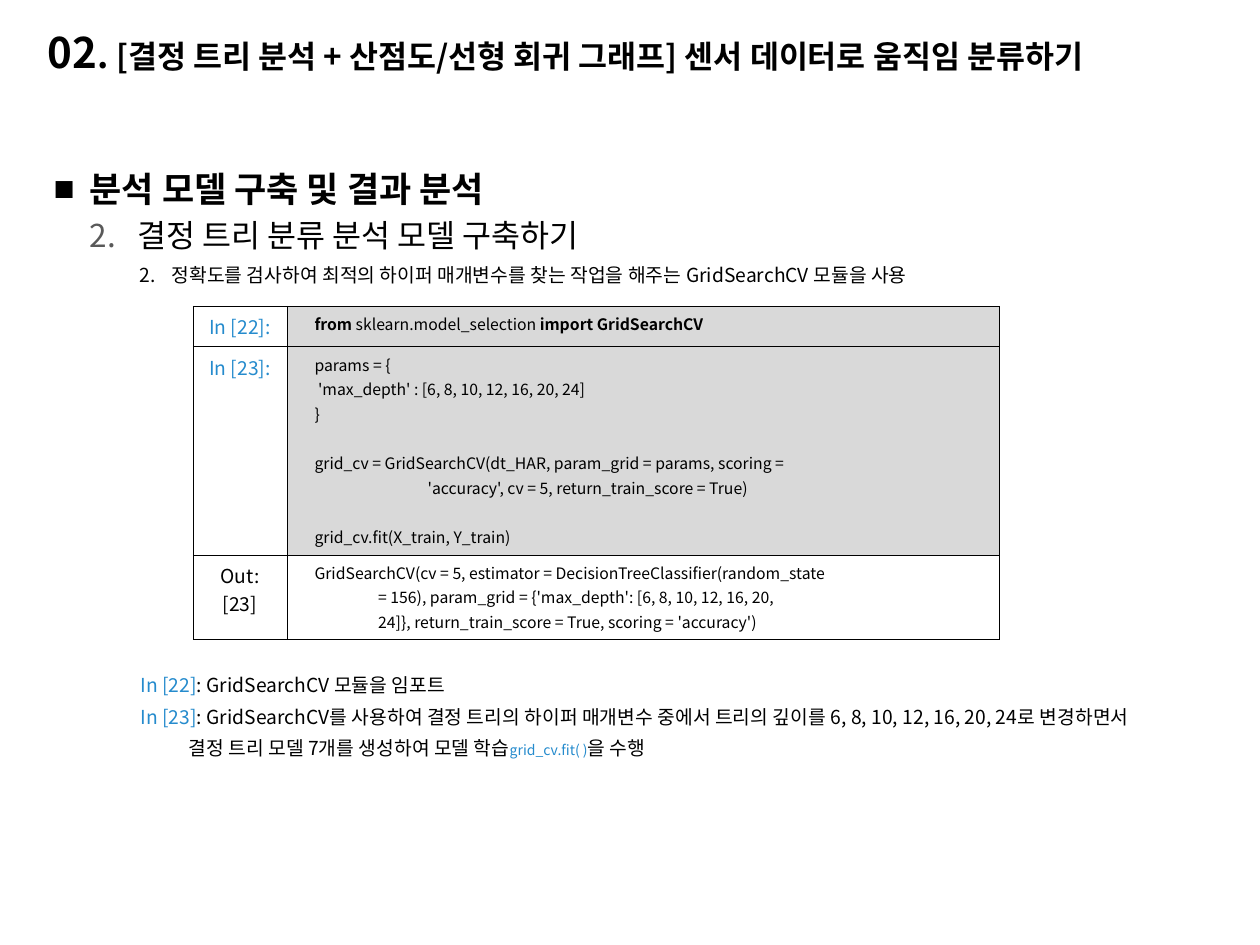
from pptx import Presentation
from pptx.dml.color import RGBColor
from pptx.enum.text import MSO_ANCHOR, MSO_AUTO_SIZE, PP_ALIGN
from pptx.oxml.ns import qn
from pptx.util import Pt
from lxml.etree import SubElement

COLORS = {"black": "000000", "blue": "258BCD", "gray": "595959",
          "code": "D9D9D9", "white": "FFFFFF"}
FONT = "Noto Sans CJK KR"

TITLE = [("02", 24, "black", True), (". ", 20, "black", True),
         ("[결정 트리 분석 + 산점도/선형 회귀 그래프] 센서 데이터로 움직임 분류하기", 18, "black", True)]

BODY = [
    dict(level=0, left=36, indent=-36, after=4, spacing=1.5, bullet="■", bullet_color="black",
         font="Arial", runs=[("분석 모델 구축 및 결과 분석", 20, "black", True)]),
    dict(level=1, left=84, indent=-48, after=5.1, bullet=2, bullet_color="gray",
         runs=[("결정 트리 분류 분석 모델 구축하기", 18, "black", False)]),
    dict(level=3, left=118, indent=-32, bullet=2, bullet_color="black",
         runs=[("정확도를 검사하여 최적의 하이퍼 매개변수를 찾는 작업을 해주는 GridSearchCV 모듈을 사용",
                11, "black", False)]),
    dict(level=3, left=87, before=221.4, after=4.8,
         runs=[("In [22]", 11, "blue", False), (": GridSearchCV 모듈을 임포트", 11, "black", False)]),
    dict(level=3, left=87, after=4.8,
         runs=[("In [23]", 11, "blue", False),
               (": GridSearchCV를 사용하여 결정 트리의 하이퍼 매개변수 중에서 트리의 깊이를 "
                "6, 8, 10, 12, 16, 20, 24로 변경하면서", 11, "black", False)]),
    dict(level=3, left=135,
         runs=[("결정 트리 모델 7개를 생성하여 모델 학습", 11, "black", False),
               ("grid_cv.fit( )", 8, "blue", False), ("을 수행", 11, "black", False)]),
]

CELLS = [
    ("In [22]:", "blue", "code", MSO_ANCHOR.TOP,
     [[("from ", True), ("sklearn.model_selection", False), (" import GridSearchCV", True)]]),
    ("In [23]:", "blue", "code", MSO_ANCHOR.TOP,
     [[("params = {", False)],
      [(" 'max_depth' : [6, 8, 10, 12, 16, 20, 24]", False)],
      [("}", False)],
      [],
      [("grid_cv = GridSearchCV(dt_HAR, param_grid = params, scoring =", False)],
      [("                                'accuracy', cv = 5, return_train_score = True)", False)],
      [],
      [("grid_cv.fit(X_train, Y_train)", False)]]),
    ("Out:[23]", "black", "white", MSO_ANCHOR.MIDDLE,
     [[("GridSearchCV(cv = 5, estimator = DecisionTreeClassifier(random_state", False)],
      [("                  = 156), param_grid = {'max_depth': [6, 8, 10, 12, 16, 20,", False)],
      [("                  24]}, return_train_score = True, scoring = 'accuracy')", False)]]),
]
COLUMNS = [94, 712]
ROWS = [35, 188, 76]


def px(value):
    return round(value * 914400 / 126)


def rgb(name):
    return RGBColor.from_string(COLORS[name])


def place(shape, left, top, width, height):
    shape.left, shape.top, shape.width, shape.height = map(px, (left, top, width, height))


def add_run(paragraph, text, size, color, bold, font=FONT):
    run = paragraph.add_run()
    run.text = text
    run.font.size = Pt(size)
    run.font.bold = bold
    run.font.color.rgb = rgb(color)
    run.font.name = font
    properties = run._r.get_or_add_rPr()
    properties.set("kern", "0")
    SubElement(properties, qn("a:ea"), typeface=FONT)


def format_paragraph(paragraph, left=0, indent=0, before=0, after=0, spacing=1.0,
                     bullet=None, bullet_color="black", align=PP_ALIGN.LEFT):
    properties = paragraph._p.get_or_add_pPr()
    properties.set("marL", str(px(left)))
    properties.set("indent", str(px(indent)))
    if bullet is None:
        SubElement(properties, qn("a:buNone"))
    else:
        color = SubElement(properties, qn("a:buClr"))
        SubElement(color, qn("a:srgbClr"), val=COLORS[bullet_color])
        if isinstance(bullet, int):
            SubElement(properties, qn("a:buFont"), typeface=FONT)
            SubElement(properties, qn("a:buAutoNum"), type="arabicPeriod", startAt=str(bullet))
        else:
            SubElement(properties, qn("a:buFont"), typeface="Arial")
            SubElement(properties, qn("a:buChar"), char=bullet)
    paragraph.alignment = align
    paragraph.line_spacing = spacing
    paragraph.space_before = Pt(before)
    paragraph.space_after = Pt(after)


def paragraphs_for(frame, items):
    for index, item in enumerate(items):
        yield (frame.add_paragraph() if index else frame.paragraphs[0]), item


def format_cell(cell, fill):
    cell.fill.solid()
    cell.fill.fore_color.rgb = rgb(fill)
    properties = cell._tc.get_or_add_tcPr()
    for index, side in enumerate(("lnL", "lnR", "lnT", "lnB")):
        line = properties.makeelement(qn(f"a:{side}"), {"w": str(Pt(0.25))})
        solid = SubElement(line, qn("a:solidFill"))
        SubElement(solid, qn("a:srgbClr"), val=COLORS["black"])
        properties.insert(index, line)


def fill_title(title):
    place(title, 35, 14, 1181, 76)
    title.text_frame.auto_size = MSO_AUTO_SIZE.NONE
    title.text_frame.vertical_anchor = MSO_ANCHOR.MIDDLE
    paragraph = title.text_frame.paragraphs[0]
    format_paragraph(paragraph)
    for run in TITLE:
        add_run(paragraph, *run)


def fill_body(body):
    place(body, 41, 140, 1195, 753)
    body.text_frame.auto_size = MSO_AUTO_SIZE.NONE
    for paragraph, item in paragraphs_for(body.text_frame, BODY):
        settings = dict(item)
        paragraph.level = settings.pop("level")
        font = settings.pop("font", FONT)
        runs = settings.pop("runs")
        format_paragraph(paragraph, **settings)
        for run in runs:
            add_run(paragraph, *run, font=font)


def add_code_table(slide):
    frame = slide.shapes.add_table(len(ROWS), len(COLUMNS), px(193), px(306),
                                   px(sum(COLUMNS)), px(sum(ROWS)))
    table = frame.table
    table.first_row = table.horz_banding = False
    for column, width in zip(table.columns, COLUMNS):
        column.width = px(width)
    for row, height, content in zip(table.rows, ROWS, CELLS):
        row.height = px(height)
        label, label_color, fill, anchor, lines = content
        label_cell, code_cell = row.cells
        format_cell(label_cell, "white")
        format_cell(code_cell, fill)
        paragraph = label_cell.text_frame.paragraphs[0]
        format_paragraph(paragraph, after=3, align=PP_ALIGN.CENTER)
        add_run(paragraph, label, 11, label_color, False)
        code_cell.vertical_anchor = anchor
        for index, (paragraph, line) in enumerate(paragraphs_for(code_cell.text_frame, lines)):
            format_paragraph(paragraph, left=15, before=0.5 if index else 0, after=0.5)
            paragraph.level = 3
            if not line:
                paragraph.font.size = Pt(9)
                end = SubElement(paragraph._p, qn("a:endParaRPr"), sz="900")
                SubElement(end, qn("a:latin"), typeface=FONT)
            for text, bold in line:
                add_run(paragraph, text, 9, "black", bold)


def main():
    presentation = Presentation()
    presentation.slide_width, presentation.slide_height = px(1260), px(945)
    slide = presentation.slides.add_slide(presentation.slide_layouts[1])
    fill_title(slide.shapes.title)
    fill_body(slide.placeholders[1])
    add_code_table(slide)
    presentation.save("out.pptx")


if __name__ == "__main__":
    main()
